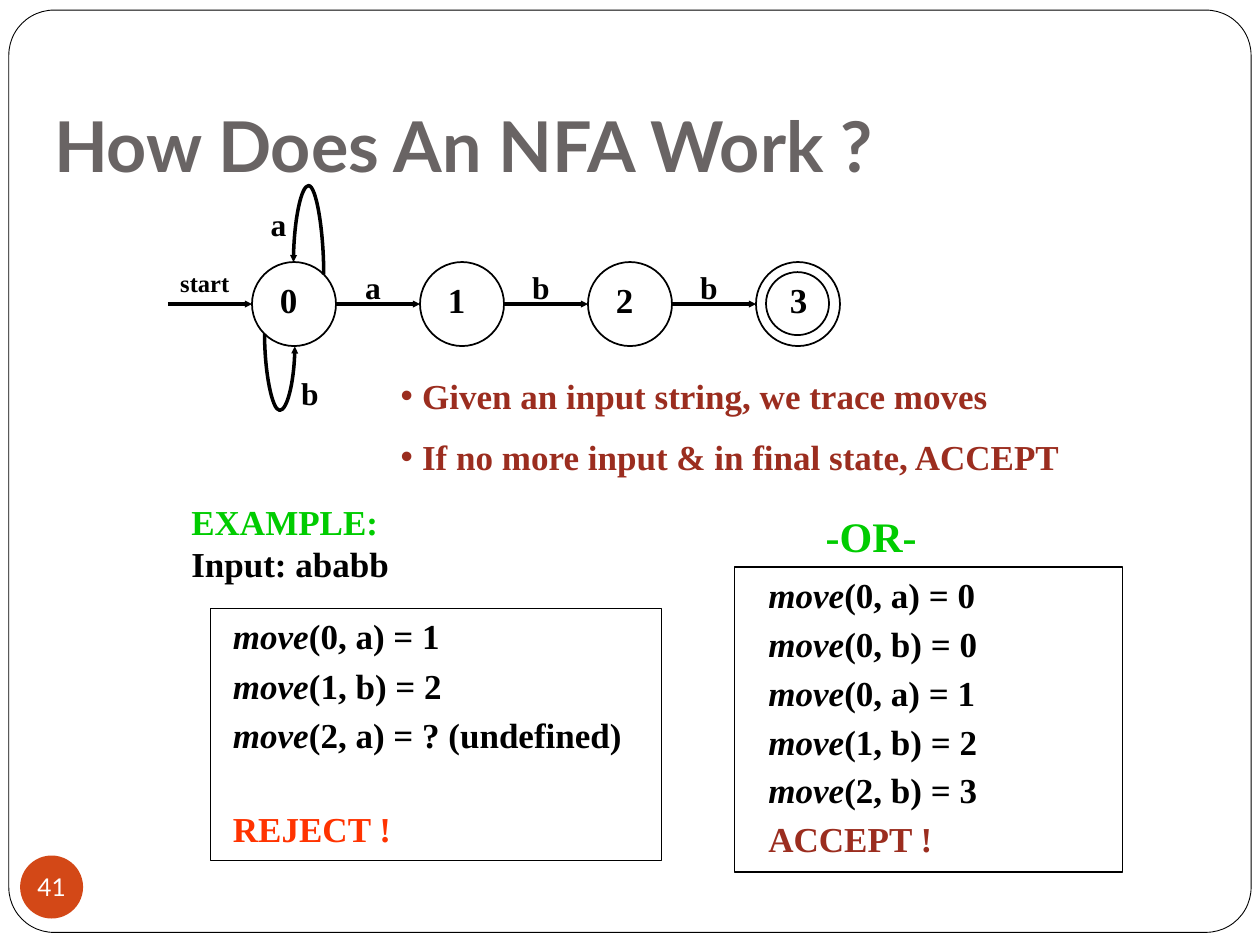
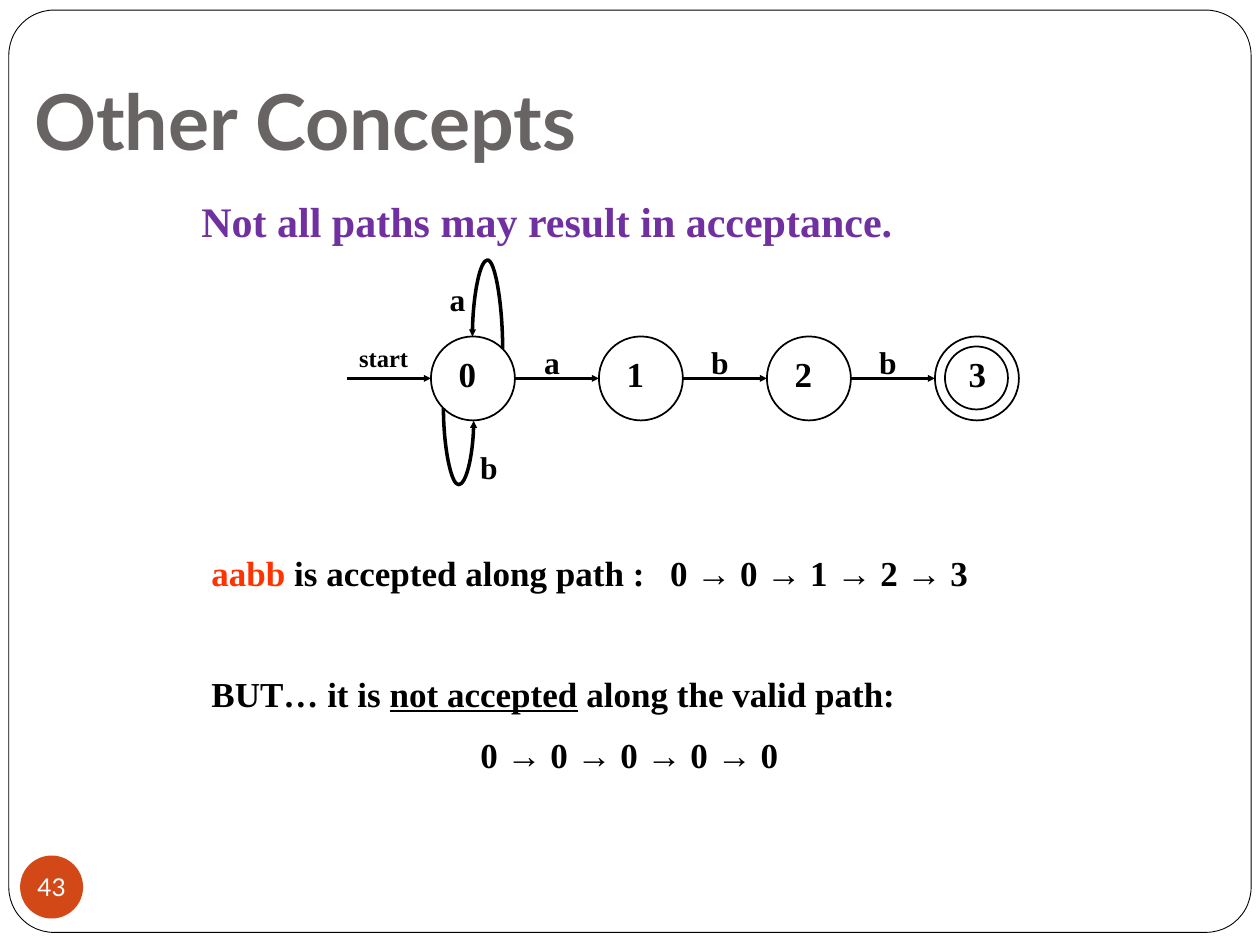
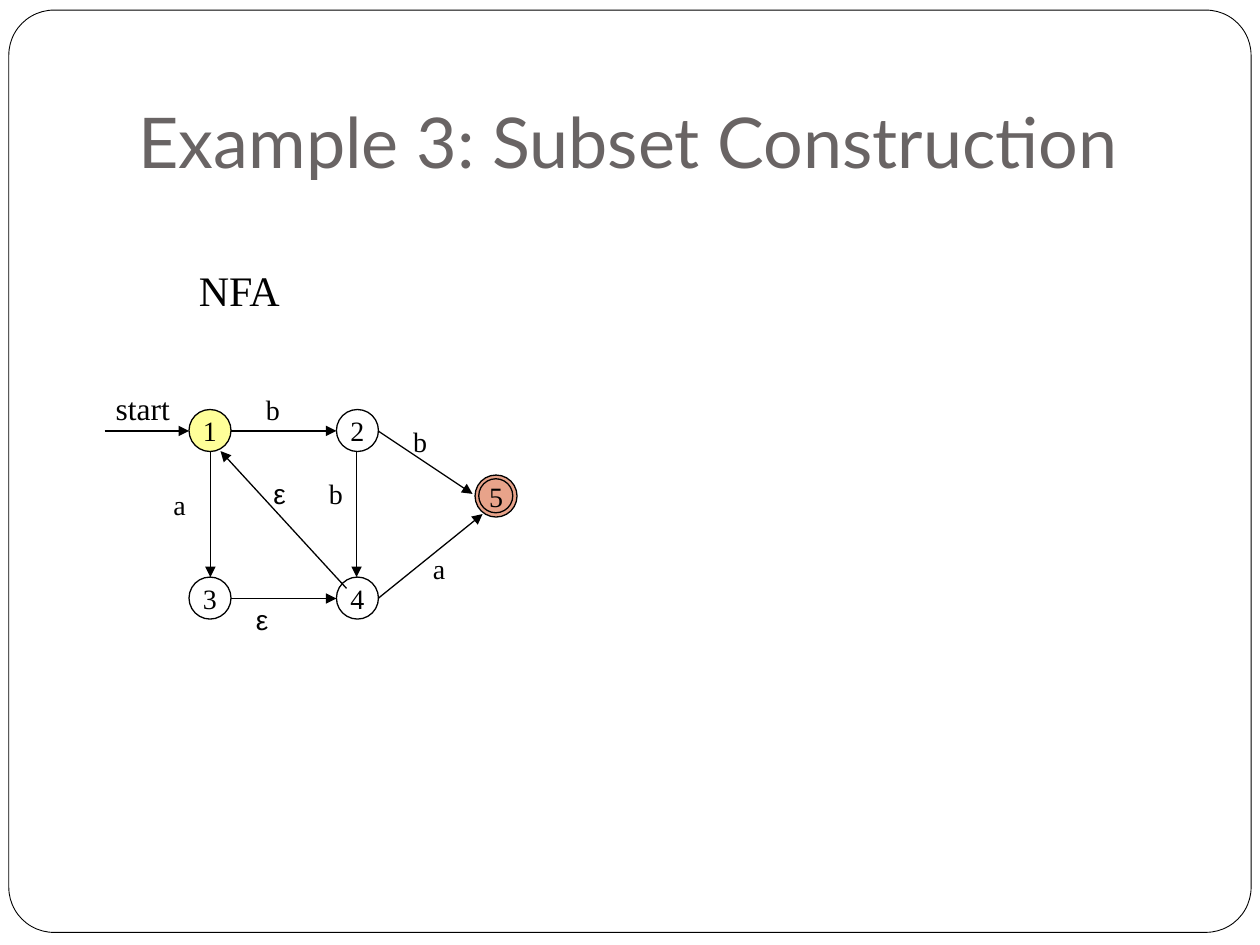
from lxml import etree
from pptx import Presentation
from pptx.dml.color import RGBColor
from pptx.enum.shapes import MSO_CONNECTOR, MSO_SHAPE
from pptx.enum.text import MSO_ANCHOR, MSO_AUTO_SIZE, PP_ALIGN
from pptx.oxml.ns import qn
from pptx.util import Inches, Pt

OVAL = MSO_SHAPE.OVAL
RECT = MSO_SHAPE.RECTANGLE
ROUND = MSO_SHAPE.ROUNDED_RECTANGLE
LINE = MSO_CONNECTOR.STRAIGHT
CURVE = MSO_CONNECTOR.CURVE
LEFT = PP_ALIGN.LEFT
CENTER = PP_ALIGN.CENTER
TOP = MSO_ANCHOR.TOP
MIDDLE = MSO_ANCHOR.MIDDLE
BOTTOM = MSO_ANCHOR.BOTTOM
NO_FIT = MSO_AUTO_SIZE.NONE

BLACK = RGBColor(0, 0, 0)
WHITE = RGBColor(255, 255, 255)
GRAY = RGBColor(0x69, 0x64, 0x64)
ORANGE = RGBColor(0xD3, 0x48, 0x17)
BROWN = RGBColor(0x9B, 0x2D, 0x1F)
GREEN = RGBColor(0, 0xCC, 0)
RED = RGBColor(0xFF, 0x33, 0)
PURPLE = RGBColor(0x70, 0x30, 0xA0)
YELLOW = RGBColor(0xFF, 0xFF, 0x99)

SERIF = "Times New Roman"
SANS = "Lato"
GAP = 11
STEP = 4 / 3
SIZE = 2 / 3
DOT = 1 / 3


def spots(box):
    return [Inches(value) for value in box]


def write(par, words, size, color=BLACK, bold=True, face=SERIF):
    run = par.add_run()
    run.text = words
    run.font.size = Pt(size)
    run.font.name = face
    run.font.bold = bold
    run.font.color.rgb = color
    return run


def frame_of(shape, anchor=TOP, sides=(0.1, 0.05, 0.1, 0.05)):
    frame = shape.text_frame
    frame.word_wrap = True
    frame.auto_size = NO_FIT
    frame.vertical_anchor = anchor
    (frame.margin_left, frame.margin_top,
     frame.margin_right, frame.margin_bottom) = spots(sides)
    return frame


def place(shape, box):
    shape.left, shape.top, shape.width, shape.height = spots(box)


def add_box(shapes, box):
    return frame_of(shapes.add_textbox(*spots(box)))


def next_par(frame, gap=GAP):
    par = frame.add_paragraph()
    par.space_before = Pt(gap)
    return par


def label(shapes, box, words, size, color=BLACK, bold=True, face=SERIF, align=CENTER):
    par = add_box(shapes, box).paragraphs[0]
    par.alignment = align
    write(par, words, size, color, bold, face)


def shape_of(shapes, kind, box, fill=None, line=BLACK, width=1):
    shape = shapes.add_shape(kind, *spots(box))
    shape.shadow.inherit = False
    if fill is None:
        shape.fill.background()
    else:
        shape.fill.solid()
        shape.fill.fore_color.rgb = fill
    if line is None:
        shape.line.fill.background()
    else:
        shape.line.color.rgb = line
        shape.line.width = Pt(width)
    return shape


def disc(shapes, box, words, size, fill, line, color, face):
    shape = shape_of(shapes, OVAL, box, fill, line, 0.75)
    par = frame_of(shape, MIDDLE, (0, 0, 0, 0)).paragraphs[0]
    par.alignment = CENTER
    write(par, words, size, color, False, face)
    return shape


def arrow(shapes, start, end, width, head, kind=LINE):
    link = shapes.add_connector(kind, *spots(start + end))
    link.line.color.rgb = BLACK
    link.line.width = Pt(width)
    tail = etree.SubElement(link.line._get_or_add_ln(), qn("a:tailEnd"))
    for key, value in (("type", "triangle"), ("w", head), ("len", head)):
        tail.set(key, value)
    etree.SubElement(link._element.spPr, qn("a:effectLst"))
    return link


def loop(shapes, left, top, turn, bend):
    link = arrow(shapes, (left + 0.1, top), (left, top + 0.24), 2, "sm", CURVE)
    props = link._element.spPr
    props.find(qn("a:xfrm")).set("rot", str(turn * 60000))
    bends = props.find(qn("a:prstGeom")).find(qn("a:avLst"))
    guide = etree.SubElement(bends, qn("a:gd"))
    guide.set("name", "adj1")
    guide.set("fmla", f"val {bend}")


def graph(slide, left, top):
    shapes = slide.shapes.add_group_shape().shapes
    mid = top + SIZE / 2
    arrow(shapes, (left - SIZE, mid), (left, mid), 2, "sm")
    label(shapes, (left - 0.75, top, 0.75, 0.33), "start", 14)
    for index, edge in enumerate(("a", "b", "b", None)):
        x = left + index * STEP
        shape_of(shapes, OVAL, (x, top, SIZE, SIZE))
        if edge:
            arrow(shapes, (x + SIZE, mid), (x + STEP, mid), 2, "sm")
            label(shapes, (x + 0.75, top, 0.42, 0.4), edge, 18)
            label(shapes, (x + 0.08, top + 0.08, 0.42, 0.43), str(index), 20)
        else:
            shape_of(shapes, OVAL, (x + 0.08, top + 0.08, 0.5, 0.5))
            label(shapes, (x + 0.17, top + 0.08, 0.33, 0.43), str(index), 20)
    loop(shapes, left + 0.4, top - 0.07, 90, 707100)
    label(shapes, (left, top - 0.5, 0.42, 0.4), "a", 18)
    loop(shapes, left + 0.17, top + 0.5, 270, 607100)
    label(shapes, (left + 0.25, top + 0.84, 0.42, 0.4), "b", 18)


def moves(slide, box, border, steps, result, color, gap):
    frame = add_box(slide.shapes, box)
    for index, step in enumerate(steps):
        par = next_par(frame) if index else frame.paragraphs[0]
        if index:
            par.line_spacing = 0.7
        write(par, "move", 20).font.italic = True
        write(par, step, 20)
    par = next_par(frame, gap)
    par.line_spacing = 0.7
    write(par, result, 20, color)
    shape_of(slide.shapes, RECT, border)


def bullets(holder, box, items):
    place(holder, box)
    frame = frame_of(holder)
    for index, item in enumerate(items):
        par = next_par(frame) if index else frame.paragraphs[0]
        if not index:
            par.space_before = Pt(0)
        props = par._p.get_or_add_pPr()
        props.set("marL", str(Inches(0.17)))
        props.set("indent", str(-Inches(0.17)))
        etree.SubElement(props, qn("a:buChar")).set("char", "•")
        write(par, item, 20, BROWN)


def new_slide(deck, layout, title, box, size=40, bold=True, number=None):
    slide = deck.slides.add_slide(deck.slide_layouts[layout])
    holder = slide.shapes.title
    place(holder, box)
    par = frame_of(holder, BOTTOM, (0.1, 0.05, 0.1, 0.1)).paragraphs[0]
    par.alignment = LEFT
    write(par, title, size, GRAY, bold, SANS)
    if number:
        disc(slide.shapes, (0.16, 6.79, 0.5, 0.5), number, 14, ORANGE, None, WHITE, SANS)
    return slide


def add_frame(deck, slide):
    border = shape_of(slide.shapes, ROUND, (0.07, 0.08, 9.86, 7.32), WHITE, BLACK, 0.5)
    border.adjustments[0] = 0.049
    border._element.nvSpPr.cNvPr.set("id", "99")
    deck.slide_master.shapes._spTree.insert(2, border._element)


def work_slide(deck):
    slide = new_slide(deck, 1, "How Does An NFA Work ?", (0.33, 0.33, 8.33, 1.25), number="41")
    add_frame(deck, slide)
    graph(slide, 2, 2.08)
    bullets(slide.placeholders[1], (3.08, 2.92, 6.25, 0.93),
            ("Given an input string, we trace moves",
             "If no more input & in final state, ACCEPT"))
    par = add_box(slide.shapes, (1.42, 3.92, 2.33, 0.77)).paragraphs[0]
    write(par, "EXAMPLE: ", 20, GREEN)
    write(par, "Input: ababb", 20)
    moves(slide, (1.75, 4.83, 3.92, 2.03), (1.67, 4.83, 3.58, 2),
          ("(0, a) = 1", "(1, b) = 2", "(2, a) = ? (undefined)"), "REJECT !", RED, 37)
    moves(slide, (6, 4.5, 3.5, 2.43), (5.83, 4.5, 3.08, 2.42),
          ("(0, a) = 0", "(0, b) = 0", "(0, a) = 1", "(1, b) = 2", "(2, b) = 3"),
          "ACCEPT !", BROWN, GAP)
    label(slide.shapes, (6.33, 4, 1.17, 0.5), "-OR-", 24, GREEN)


def path_slide(deck):
    slide = new_slide(deck, 5, "Other Concepts", (0.17, 0.17, 8.33, 1.25), 44, number="43")
    graph(slide, 3.42, 2.67)
    label(slide.shapes, (1.5, 1.5, 8.17, 0.5), "Not all paths may result in acceptance.",
          24, PURPLE, align=LEFT)
    frame = add_box(slide.shapes, (1.58, 4.33, 6.83, 1.93))
    par = frame.paragraphs[0]
    tabs = etree.SubElement(par._p.get_or_add_pPr(), qn("a:tabLst"))
    stop = etree.SubElement(tabs, qn("a:tab"))
    stop.set("pos", str(Inches(3.64)))
    stop.set("algn", "l")
    write(par, "aabb", 20, RED)
    write(par, " is accepted along path :\t0 → 0 → 1 → 2 → 3", 20)
    par = next_par(frame, 45)
    write(par, "BUT… it is ", 20)
    write(par, "not accepted", 20).font.underline = True
    write(par, " along the valid path:", 20)
    par = next_par(frame)
    par.alignment = CENTER
    write(par, "0 → 0 → 0 → 0 → 0", 20)


def subset_slide(deck):
    slide = new_slide(deck, 5, "Example 3: Subset Construction", (1, 0.3, 8.5, 1.25), bold=False)
    shapes = slide.shapes
    states = (("1", 1.5, 3.25, YELLOW), ("2", 2.67, 3.25, WHITE), ("3", 1.5, 4.58, WHITE),
              ("4", 2.67, 4.58, WHITE), ("5", 3.77, 3.77, ORANGE))
    for name, x, y, fill in states:
        state = disc(shapes, (x, y, DOT, DOT), name, 16, fill, BLACK, BLACK, SERIF)
    tint = state._element.spPr.find(qn("a:solidFill"))[0]
    etree.SubElement(tint, qn("a:alpha")).set("val", "50000")
    shape_of(shapes, OVAL, (3.8, 3.8, 0.27, 0.27), width=0.75)
    edges = (((0.83, 3.42), (1.5, 3.42)), ((1.83, 3.42), (2.67, 3.42)),
             ((2.83, 3.58), (2.83, 4.58)), ((1.67, 3.58), (1.67, 4.58)),
             ((1.83, 4.75), (2.67, 4.75)), ((3, 4.75), (3.83, 4.08)),
             ((3, 3.42), (3.75, 3.92)), ((2.75, 4.67), (1.75, 3.58)))
    for start, end in edges:
        arrow(shapes, start, end, 0.75, "med")
    for words, x, y in (("b", 2.01, 3.07), ("a", 1.27, 3.82), ("b", 2.51, 3.73),
                        ("b", 3.18, 3.32), ("a", 3.33, 4.33)):
        label(shapes, (x, y, 0.31, 0.37), words, 16, bold=False)
    for x, y in ((1.93, 4.73), (2.07, 3.73)):
        label(shapes, (x, y, 0.3, 0.37), "ε", 16, bold=False, face="Arial")
    label(shapes, (1.48, 2.05, 0.87, 0.5), "NFA", 24, bold=False, align=LEFT)
    label(shapes, (0.82, 3.04, 0.69, 0.4), "start", 18, bold=False, align=LEFT)


def main():
    deck = Presentation()
    deck.slide_width = Inches(10)
    deck.slide_height = Inches(7.5)
    work_slide(deck)
    path_slide(deck)
    subset_slide(deck)
    deck.save("out.pptx")


if __name__ == "__main__":
    main()
